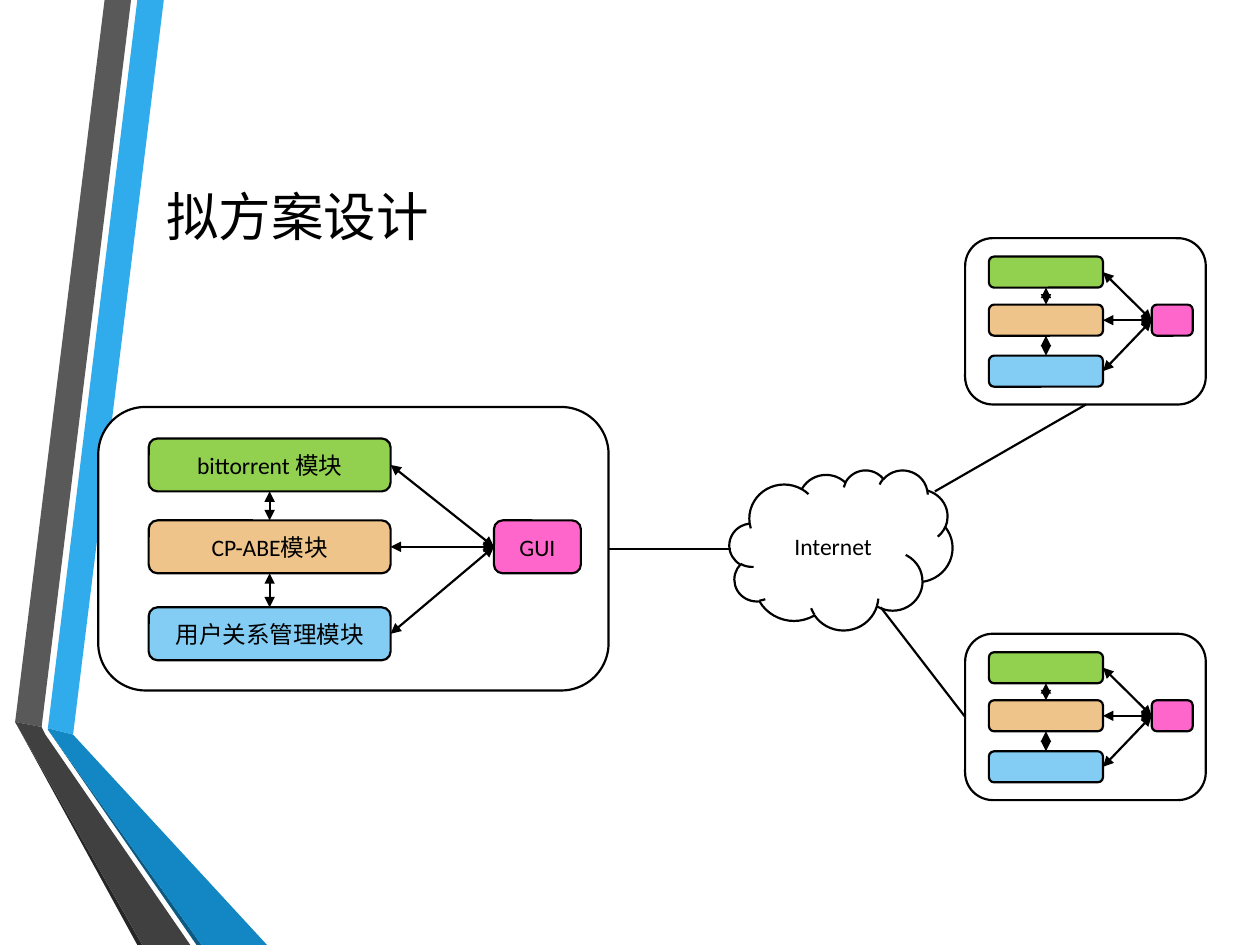
import pptx
import pptx.util
import pptx.dml.color
import pptx.enum.shapes
import pptx.enum.text
import pptx.oxml
import pptx.oxml.ns

Inches = pptx.util.Inches
Pt = pptx.util.Pt
KIND = pptx.enum.shapes.MSO_SHAPE
ALIGN = pptx.enum.text.PP_ALIGN
ANCHOR = pptx.enum.text.MSO_ANCHOR

COLORS = {
    "black": "000000", "white": "FFFFFF",
    "green": "92D050", "tan": "EEC48B", "sky": "83CDF4", "pink": "FF66CC",
    "blue": "30ACEC", "gray": "595959", "coal": "262626",
    "navy": "0C5A82", "deep": "1287C3", "dark": "404040",
}


def shade(name):
    return pptx.dml.color.RGBColor.from_string(COLORS[name])


class Deck:
    font = "Calibri"
    size = 13.5
    width = 1.25

    def __init__(self):
        self.prs = pptx.Presentation()
        self.prs.slide_width = Inches(10)
        self.prs.slide_height = Inches(7.5)
        self.slide = self.prs.slides.add_slide(self.prs.slide_layouts[5])
        self.root = self.home = self.slide.shapes

    def group(self):
        """Send the next elements to a new group."""
        self.home = self.root.add_group_shape().shapes

    def ungroup(self):
        self.home = self.root

    def label(self, frame, text, size, align):
        frame.word_wrap = True
        frame.vertical_anchor = ANCHOR.MIDDLE
        para = frame.paragraphs[0]
        para.alignment = align
        run = para.add_run()
        run.text = text
        run.font.name = self.font
        run.font.size = Pt(size)
        run.font.color.rgb = shade("black")

    def title(self, text, x, y, w, h):
        box = self.root.title
        box.left, box.top = Inches(x), Inches(y)
        box.width, box.height = Inches(w), Inches(h)
        box.text_frame.auto_size = pptx.enum.text.MSO_AUTO_SIZE.NONE
        self.label(box.text_frame, text, 30, ALIGN.LEFT)

    def band(self, points, fill):
        pen = self.home.build_freeform(*map(Inches, points[0]), scale=1.0)
        pen.add_line_segments([(Inches(x), Inches(y)) for x, y in points[1:]])
        form = pen.convert_to_shape()
        form.shadow.inherit = False
        form.fill.solid()
        form.fill.fore_color.rgb = shade(fill)
        form.line.fill.background()

    def box(self, x, y, w, h, fill, text="", kind=KIND.ROUNDED_RECTANGLE):
        form = self.home.add_shape(kind, Inches(x), Inches(y), Inches(w), Inches(h))
        form.shadow.inherit = False
        form.fill.solid()
        form.fill.fore_color.rgb = shade(fill)
        form.line.color.rgb = shade("black")
        form.line.width = Pt(self.width)
        if text:
            self.label(form.text_frame, text, self.size, ALIGN.CENTER)

    def link(self, start, end, arrows=False):
        line = self.home.add_connector(
            pptx.enum.shapes.MSO_CONNECTOR.STRAIGHT,
            *map(Inches, start + end))
        line.line.color.rgb = shade("black")
        line.line.width = Pt(self.width)
        props = line._element.spPr
        if arrows:
            stroke = props.find(pptx.oxml.ns.qn("a:ln"))
            for tag in ("headEnd", "tailEnd"):
                stroke.append(pptx.oxml.parse_xml(
                    f'<a:{tag} {pptx.oxml.ns.nsdecls("a")} type="triangle"/>'))
        props.append(pptx.oxml.parse_xml(
            f'<a:effectLst {pptx.oxml.ns.nsdecls("a")}/>'))

    def node(self, x, y, w, h, labels=("", "", ""), gui=""):
        """Draw a peer: three stacked modules, each tied to a GUI."""
        sx, sy = w / 4.05, h / 2.25
        left, wide, tall = x + 0.4 * sx, 1.92 * sx, 0.42 * sy
        right, mid = left + wide, left + wide / 2
        tops = [y + step * sy for step in (0.25, 0.9, 1.59)]
        port = (x + 3.14 * sx, tops[1] + tall / 2)
        self.group()
        self.box(x, y, w, h, "white")
        for top, fill, text in zip(tops, ("green", "tan", "sky"), labels):
            self.box(left, top, wide, tall, fill, text)
        self.box(port[0], tops[1], 0.69 * sx, tall, "pink", gui)
        for top in tops:
            self.link((right, top + tall / 2), port, True)
        for upper, lower in zip(tops, tops[1:]):
            self.link((mid, upper + tall), (mid, lower), True)
        self.ungroup()


def main():
    deck = Deck()

    # Folded ribbons at the left edge
    bands = [
        ("blue", [(0.38, 5.78), (0.58, 5.83), (1.3, 0), (1.09, 0)]),
        ("gray", [(1.04, 0), (0.83, 0), (0.12, 5.73), (0.33, 5.77)]),
        ("coal", [(0.12, 5.73), (1.09, 7.5), (1.13, 7.5)]),
        ("navy", [(0.38, 5.79), (1.56, 7.5), (1.6, 7.5)]),
        ("deep", [(0.38, 5.79), (1.6, 7.5), (2.12, 7.5), (0.58, 5.83), (0.38, 5.78)]),
        ("dark", [(1.51, 7.5), (0.36, 5.83), (0.33, 5.77), (0.12, 5.73), (1.13, 7.5)]),
    ]
    deck.group()
    for fill, points in bands:
        deck.band(points, fill)
    deck.ungroup()

    # Title
    deck.title("拟方案设计", 1.22, 0.75, 8.22, 1.92)

    # Network and its peers
    deck.box(5.79, 3.73, 1.77, 1.27, "white", "Internet", KIND.CLOUD)
    deck.node(0.78, 3.23, 4.05, 2.25,
              ("bittorrent 模块", "CP-ABE模块", "用户关系管理模块"), "GUI")
    for top in (5.03, 1.89):
        deck.node(7.66, top, 1.91, 1.32)

    # Links from the peers to the network
    deck.link((4.83, 4.36), (5.8, 4.36))
    deck.link((8.62, 3.21), (7.42, 3.9))
    deck.link((6.99, 4.82), (7.66, 5.69))

    deck.prs.save("out.pptx")


if __name__ == "__main__":
    main()
